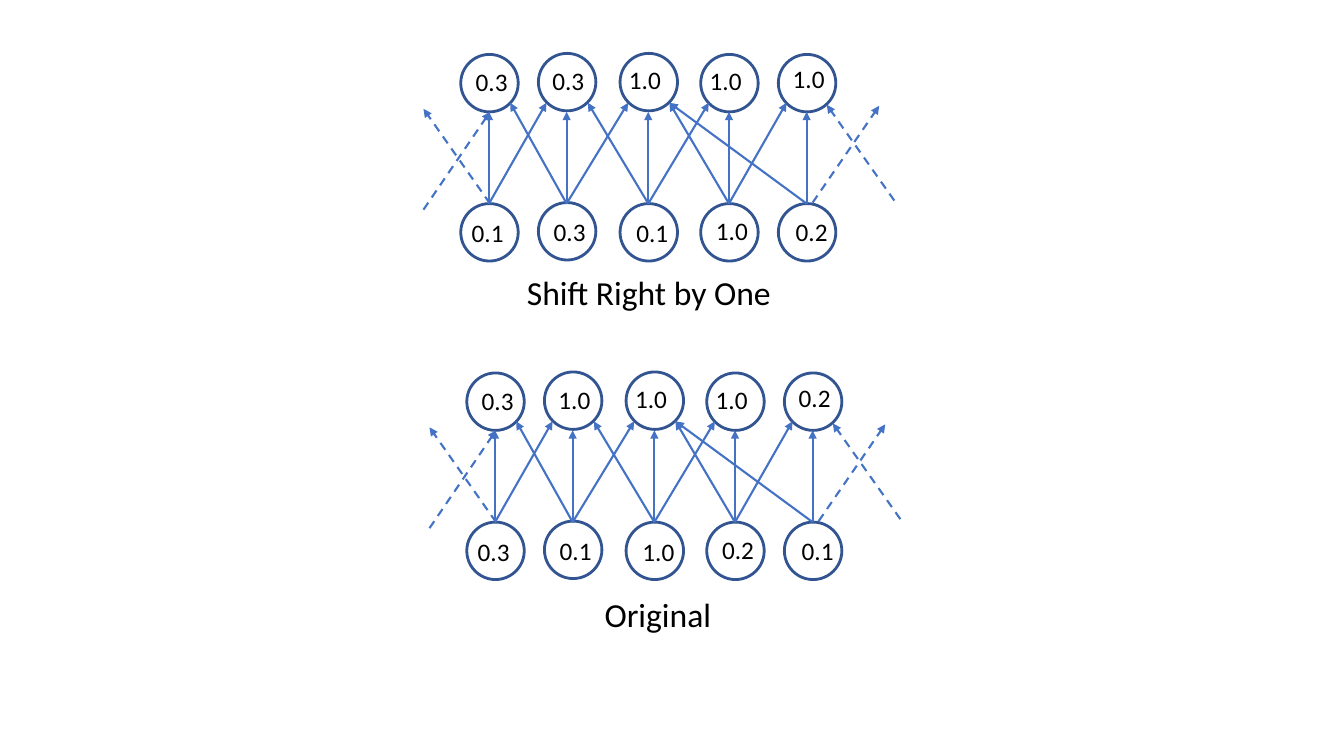
from lxml.etree import SubElement
from pptx import Presentation
from pptx.dml.color import RGBColor
from pptx.enum.dml import MSO_LINE
from pptx.enum.shapes import MSO_CONNECTOR, MSO_SHAPE
from pptx.enum.text import MSO_AUTO_SIZE, PP_ALIGN
from pptx.oxml.ns import qn
from pptx.util import Pt

PX = 9144  # 100 px to the inch
SLIDE_WIDTH, SLIDE_HEIGHT = 1333, 750
NAVY = RGBColor(0x32, 0x54, 0x91)
BLUE = RGBColor(0x44, 0x72, 0xC4)
BLACK = RGBColor(0, 0, 0)
FONT = "Calibri"

# Node and label offsets from the top left corner of a network
NODE_SIZE = 57
NODE_LEFTS = [0, 77, 158, 238, 315]
TOP_NODE_TOPS = [1, 0, 0, 1, 1]
BOTTOM_NODE_TOPS = [149, 148, 149, 149, 149]
TOP_LABELS = [(5, 8), (81, 7), (157, 6), (237, 7), (317, 5)]
BOTTOM_LABELS = [(1, 158), (80, 157), (162, 158), (241, 156), (320, 157)]
TOP_LEFT_ALIGNED, BOTTOM_LEFT_ALIGNED = 4, 1

# Arrow geometry: start height, straight tip, slanted tip, tip insets in a node
ARROW_START, STRAIGHT_TIP, SLANTED_TIP = 149, 58, 49
LEFT_TIP, RIGHT_TIP = 8, 49
LEFT_NEIGHBOURS = {1: 0, 2: 1, 3: 2, 4: 2}
EDGE_ARROWS = [
    ((29, 149), (-37, 55)),
    ((-37, 155), (29, 58)),
    ((349, 148), (415, 52)),
    ((430, 146), (363, 51)),
]


def add_text(slide, text, box, size, alignment):
    shape = slide.shapes.add_textbox(*(length * PX for length in box))
    frame = shape.text_frame
    frame.word_wrap = True
    frame.auto_size = MSO_AUTO_SIZE.SHAPE_TO_FIT_TEXT
    para = frame.paragraphs[0]
    para.alignment = alignment
    span = para.add_run()
    span.text = text
    span.font.name = FONT
    span.font.size = Pt(size)
    span.font.color.rgb = BLACK


def add_node(slide, left, top):
    node = slide.shapes.add_shape(
        MSO_SHAPE.OVAL, left * PX, top * PX, NODE_SIZE * PX, NODE_SIZE * PX)
    node.shadow.inherit = False
    node.fill.background()
    node.line.color.rgb = NAVY
    node.line.width = Pt(2)


def add_arrow(slide, origin, start, end, dashed=False):
    left, top = origin
    arrow = slide.shapes.add_connector(
        MSO_CONNECTOR.STRAIGHT,
        (left + start[0]) * PX, (top + start[1]) * PX,
        (left + end[0]) * PX, (top + end[1]) * PX)
    arrow.line.color.rgb = BLUE
    arrow.line.width = Pt(1.5)
    if dashed:
        arrow.line.dash_style = MSO_LINE.DASH
    properties = arrow.line._get_or_add_ln()
    SubElement(properties, qn("a:tailEnd"), type="triangle")
    SubElement(properties.getparent(), qn("a:effectLst"))


def add_row(slide, origin, values, node_tops, labels, left_aligned):
    """Draw one row of circles with their values."""
    left, top = origin
    for node_left, node_top in zip(NODE_LEFTS, node_tops):
        add_node(slide, left + node_left, top + node_top)
    for index, (value, (label_left, label_top)) in enumerate(zip(values, labels)):
        alignment = PP_ALIGN.LEFT if index < left_aligned else PP_ALIGN.CENTER
        box = (left + label_left, top + label_top, 56, 40)
        add_text(slide, value, box, 18, alignment)


def add_arrows(slide, origin):
    """Link each lower node to the upper node above it and its neighbours."""
    for index, node_left in enumerate(NODE_LEFTS):
        center = node_left + NODE_SIZE // 2
        start = (center, ARROW_START)
        add_arrow(slide, origin, start, (center, STRAIGHT_TIP))
        if index + 1 < len(NODE_LEFTS):
            tip = NODE_LEFTS[index + 1] + LEFT_TIP
            add_arrow(slide, origin, start, (tip, SLANTED_TIP))
        if index in LEFT_NEIGHBOURS:
            tip = NODE_LEFTS[LEFT_NEIGHBOURS[index]] + RIGHT_TIP
            add_arrow(slide, origin, start, (tip, SLANTED_TIP))
    for start, end in EDGE_ARROWS:
        add_arrow(slide, origin, start, end, dashed=True)


def add_network(slide, origin, top_values, bottom_values, caption, caption_box):
    add_row(slide, origin, top_values, TOP_NODE_TOPS, TOP_LABELS, TOP_LEFT_ALIGNED)
    add_row(slide, origin, bottom_values, BOTTOM_NODE_TOPS, BOTTOM_LABELS,
            BOTTOM_LEFT_ALIGNED)
    add_arrows(slide, origin)
    add_text(slide, caption, caption_box, 24, PP_ALIGN.CENTER)


def main():
    deck = Presentation()
    deck.slide_width = SLIDE_WIDTH * PX
    deck.slide_height = SLIDE_HEIGHT * PX
    page = deck.slides.add_slide(deck.slide_layouts.get_by_name("Blank"))
    add_network(page, (457, 53),
                ["0.3", "0.3", "1.0", "1.0", "1.0"],
                ["0.1", "0.3", "0.1", "1.0", "0.2"],
                "Shift Right by One", (499, 265, 289, 50))
    add_network(page, (463, 369),
                ["0.3", "1.0", "1.0", "1.0", "0.2"],
                ["0.3", "0.1", "1.0", "0.2", "0.1"],
                "Original", (508, 584, 289, 50))
    deck.save("out.pptx")


if __name__ == "__main__":
    main()
